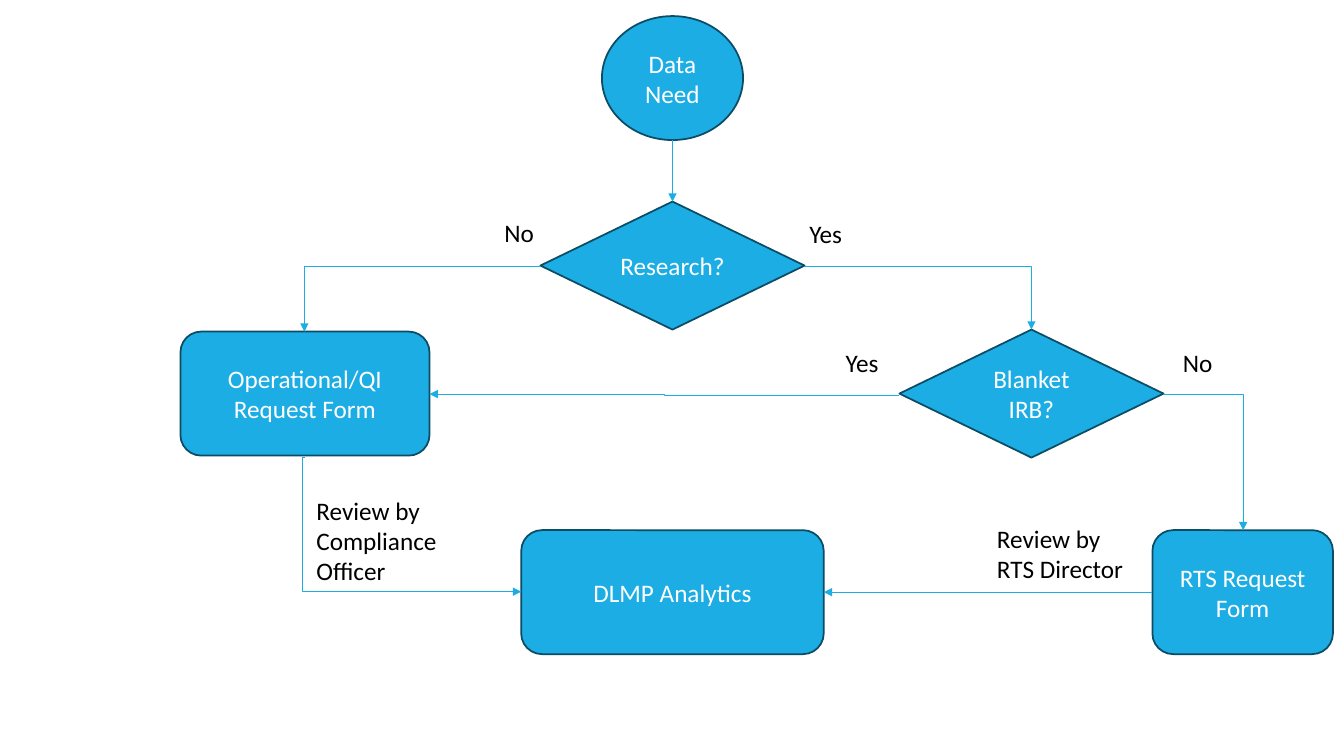
import pptx
import pptx.util
import pptx.dml.color
import pptx.enum.shapes
import pptx.enum.text
import pptx.oxml.ns
import lxml.etree

MSO = pptx.enum.shapes.MSO_SHAPE
CXN = pptx.enum.shapes.MSO_CONNECTOR
ALIGN = pptx.enum.text.PP_ALIGN
qn = pptx.oxml.ns.qn


def px(n):
    return pptx.util.Emu(n * 9144)


def rgb(value):
    return pptx.dml.color.RGBColor.from_string(value)


class FlowSlide:
    fill, edge, light, dark = "1CADE4", "0C4C64", "FFFFFF", "000000"
    font = {"name": "Calibri", "size": pptx.util.Pt(18)}

    def __init__(self, s):
        self.s = s

    def set_text(self, tf, text, color, align):
        tf.word_wrap = True
        p = tf.paragraphs[0]
        p.alignment = align
        r = p.add_run()
        r.text = text
        for key, value in self.font.items():
            setattr(r.font, key, value)
        r.font.color.rgb = rgb(color)

    def node(self, kind, text, *box):
        sp = self.s.shapes.add_shape(kind, *map(px, box))
        sp.shadow.inherit = False
        sp.fill.solid()
        sp.fill.fore_color.rgb = rgb(self.fill)
        sp.line.color.rgb = rgb(self.edge)
        sp.line.width = pptx.util.Pt(1.25)
        sp.text_frame.vertical_anchor = pptx.enum.text.MSO_ANCHOR.MIDDLE
        self.set_text(sp.text_frame, text, self.light, ALIGN.CENTER)
        return sp

    def label(self, text, *box, align=ALIGN.CENTER):
        sp = self.s.shapes.add_textbox(*map(px, box))
        sp.text_frame.auto_size = pptx.enum.text.MSO_AUTO_SIZE.SHAPE_TO_FIT_TEXT
        self.set_text(sp.text_frame, text, self.dark, align)

    def arrow(self, *ends, kind=CXN.STRAIGHT):
        cxn = self.s.shapes.add_connector(kind, *map(px, ends))
        cxn.line.color.rgb = rgb(self.fill)
        cxn.line.width = pptx.util.Pt(0.75)
        ln = cxn._element.spPr.find(qn("a:ln"))
        lxml.etree.SubElement(ln, qn("a:tailEnd"), type="triangle")
        lxml.etree.SubElement(cxn._element.spPr, qn("a:effectLst"))
        return cxn

    def elbow(self, *ends, bend=None):
        cxn = self.arrow(*ends, kind=CXN.ELBOW)
        geom = cxn._element.spPr.find(qn("a:prstGeom"))
        if bend is None:
            geom.set("prst", "bentConnector2")
        else:
            guides = geom.find(qn("a:avLst"))
            lxml.etree.SubElement(guides, qn("a:gd"), name="adj1", fmla=f"val {bend}")


def main():
    prs = pptx.Presentation()
    prs.slide_width, prs.slide_height = px(1333), px(750)
    flow = FlowSlide(prs.slides.add_slide(prs.slide_layouts[6]))

    flow.node(MSO.OVAL, "Data Need", 597, 16, 140, 123)
    research = flow.node(MSO.DIAMOND, "Research?", 536, 200, 262, 127)
    flow.node(MSO.DIAMOND, "Blanket IRB?", 892, 327, 262, 127)
    analytics = flow.node(MSO.ROUNDED_RECTANGLE, "DLMP Analytics", 517, 526, 300, 123)
    flow.node(MSO.ROUNDED_RECTANGLE, "Operational/QI Request Form", 179, 329, 247, 123)
    rts = flow.node(MSO.ROUNDED_RECTANGLE, "RTS Request Form", 1143, 526, 179, 123)

    flow.arrow(667, 139, 667, 200).end_connect(research, 0)
    flow.elbow(536, 264, 302, 329)
    flow.elbow(798, 264, 1023, 327)
    flow.elbow(302, 454, 517, 587, bend=-800)
    flow.elbow(892, 392, 426, 391, bend=50000)
    flow.elbow(1154, 391, 1233, 526)
    review = flow.arrow(1143, 587, 817, 587)
    review.begin_connect(rts, 1)
    review.end_connect(analytics, 3)

    for text, x, y in (("Yes", 817, 340), ("No", 1150, 340),
                       ("Yes", 781, 212), ("No", 477, 211)):
        flow.label(text, x, y, 76, 40)
    flow.label("Review by Compliance Officer", 304, 486, 164, 101, align=ALIGN.LEFT)
    flow.label("Review by RTS Director", 979, 514, 164, 71, align=ALIGN.LEFT)

    prs.save("out.pptx")


if __name__ == "__main__":
    main()
